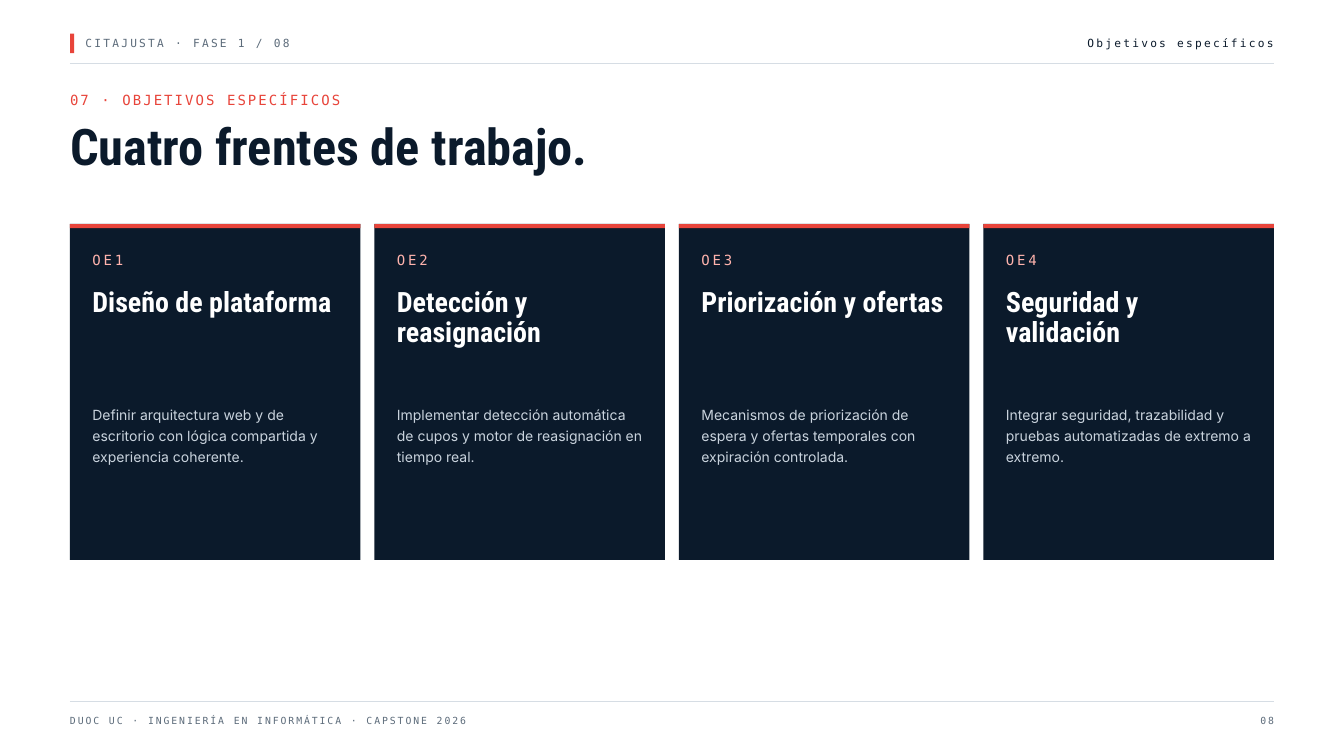
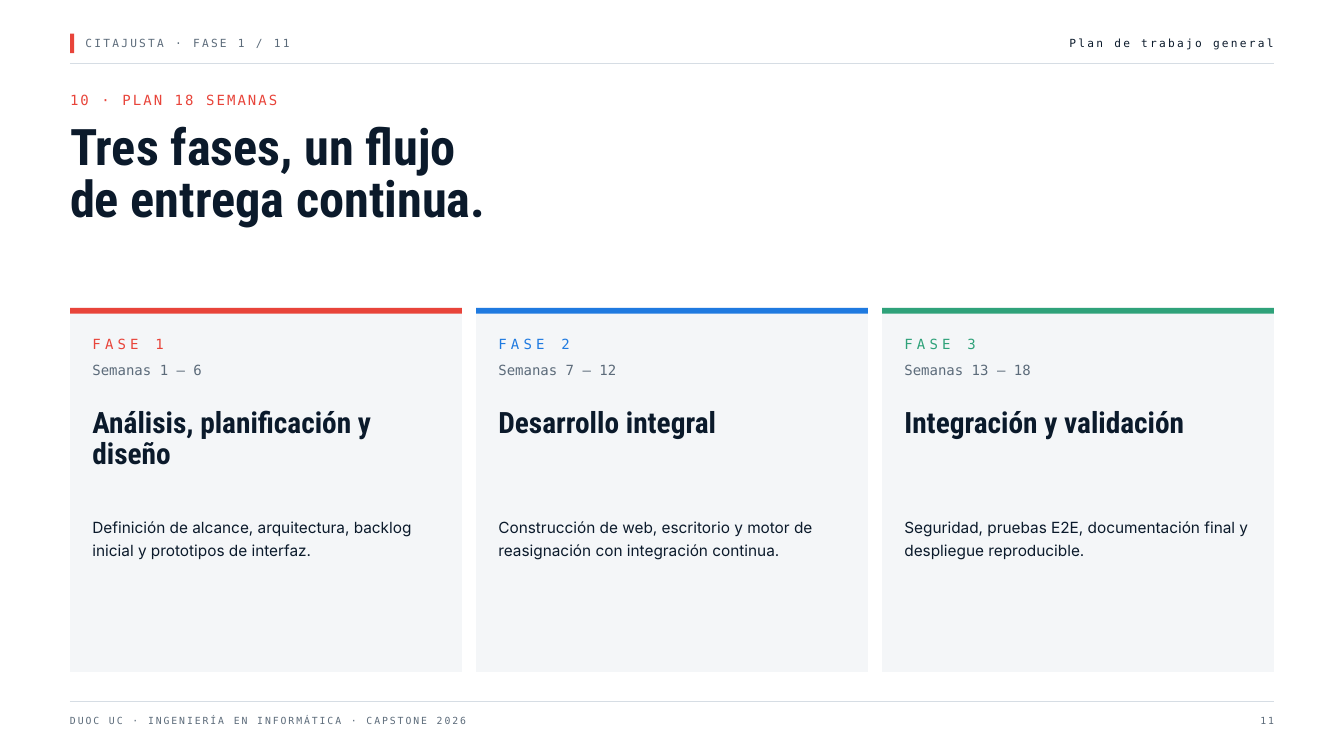
"""Builds two slides of a project deck: specific objectives and the general work plan."""
from pptx import Presentation
from pptx import util as u
from pptx.dml.color import RGBColor
from pptx.enum import shapes, text
from pptx.oxml import parse_xml
from pptx.oxml.ns import nsdecls

NAVY = RGBColor(0x0B, 0x1A, 0x2B)
SLATE = RGBColor(0x5C, 0x6B, 0x7A)
RED = RGBColor(0xE8, 0x44, 0x3A)
BLUE = RGBColor(0x1F, 0x7A, 0xE0)
GREEN = RGBColor(0x2F, 0xA2, 0x7A)
PINK = RGBColor(0xFF, 0xB3, 0xAD)
MIST = RGBColor(0xC9, 0xD3, 0xDD)
RULE = RGBColor(0xD6, 0xDD, 0xE4)
PALE = RGBColor(0xF4, 0xF6, 0xF8)
WHITE = RGBColor(0xFF, 0xFF, 0xFF)

MONO, SANS, CONDENSED = "DejaVu Sans Mono", "Inter", "Roboto Condensed"
FOOTER = "DUOC UC · INGENIERÍA EN INFORMÁTICA · CAPSTONE 2026"

PX = 9525
WIDTH, HEIGHT = 1920, 1080
LEFT, RIGHT = 100, 1820
GAP, PADDING = 20, 32


def style(name, size, leading, tracking=0, bold=False):
    return {"font": {"name": name, "size": u.Pt(size), "bold": bold},
            "leading": u.Pt(leading), "tracking": tracking}


HEADER_STYLE = style(MONO, 12, 16.8, 2.4)
FOOTER_STYLE = style(MONO, 10.5, 14.7, 2.1)
EYEBROW_STYLE = style(MONO, 15, 21, 2.2)
TITLE_STYLE = style(CONDENSED, 54, 55.1, bold=True)

SLIDES = [
    {
        "number": "08",
        "section": "Objetivos específicos",
        "eyebrow": "07 · OBJETIVOS ESPECÍFICOS",
        "title": ["Cuatro frentes de trabajo."],
        "top": 320, "height": 480, "band": 6, "fill": NAVY,
        "fields": [
            (36, 28, style(MONO, 15, 21, 3), PINK),
            (93, 45, style(CONDENSED, 30, 31.5, bold=True), WHITE),
            (255, 90, style(SANS, 15, 22.5), MIST),
        ],
        "cards": [
            (RED, "OE1", "Diseño de plataforma",
             "Definir arquitectura web y de escritorio con lógica compartida "
             "y experiencia coherente."),
            (RED, "OE2", "Detección y reasignación",
             "Implementar detección automática de cupos y motor de reasignación "
             "en tiempo real."),
            (RED, "OE3", "Priorización y ofertas",
             "Mecanismos de priorización de espera y ofertas temporales con "
             "expiración controlada."),
            (RED, "OE4", "Seguridad y validación",
             "Integrar seguridad, trazabilidad y pruebas automatizadas de "
             "extremo a extremo."),
        ],
    },
    {
        "number": "11",
        "section": "Plan de trabajo general",
        "eyebrow": "10 · PLAN 18 SEMANAS",
        "title": ["Tres fases, un flujo", "de entrega continua."],
        "top": 440, "height": 520, "band": 8, "fill": PALE,
        "fields": [
            (36, 28, style(MONO, 15, 21, 4.5), None),
            (72, 28, style(MONO, 15, 21), SLATE),
            (144, 46, style(CONDENSED, 31.5, 33.1, bold=True), NAVY),
            (295, 62, style(SANS, 16.5, 23.9), NAVY),
        ],
        "cards": [
            (RED, "FASE 1", "Semanas 1 – 6", "Análisis, planificación y diseño",
             "Definición de alcance, arquitectura, backlog inicial y prototipos "
             "de interfaz."),
            (BLUE, "FASE 2", "Semanas 7 – 12", "Desarrollo integral",
             "Construcción de web, escritorio y motor de reasignación con "
             "integración continua."),
            (GREEN, "FASE 3", "Semanas 13 – 18", "Integración y validación",
             "Seguridad, pruebas E2E, documentación final y despliegue "
             "reproducible."),
        ],
    },
]


def scaled(*lengths):
    return [u.Emu(round(length * PX)) for length in lengths]


def write(shape, lines, look, color, align=text.PP_ALIGN.LEFT):
    frame = shape.text_frame
    settings = {"margin_left": 0, "margin_top": 0, "margin_right": 0, "margin_bottom": 0,
                "word_wrap": True, "vertical_anchor": text.MSO_ANCHOR.TOP,
                "auto_size": text.MSO_AUTO_SIZE.SHAPE_TO_FIT_TEXT}
    for name, value in settings.items():
        setattr(frame, name, value)
    for index, line in enumerate(lines):
        paragraph = frame.add_paragraph() if index else frame.paragraphs[0]
        paragraph.alignment = align
        paragraph.line_spacing = look["leading"]
        paragraph.space_before = u.Pt(0)
        run = paragraph.add_run()
        run.text = line
        for name, value in look["font"].items():
            setattr(run.font, name, value)
        run.font.color.rgb = color
        if look["tracking"]:
            run._r.get_or_add_rPr().set("spc", str(round(look["tracking"] * 100)))


def add_text(slide, box, line, look, color, align=text.PP_ALIGN.LEFT):
    write(slide.shapes.add_textbox(*scaled(*box)), [line], look, color, align)


def add_block(slide, box, color):
    shape = slide.shapes.add_shape(shapes.MSO_SHAPE.RECTANGLE, *scaled(*box))
    shape.shadow.inherit = False
    shape.fill.solid()
    shape.fill.fore_color.rgb = color
    shape.line.fill.background()


def add_rule(slide, y):
    rule = slide.shapes.add_connector(shapes.MSO_CONNECTOR.STRAIGHT, *scaled(LEFT, y, RIGHT, y))
    rule.line.color.rgb = RULE
    rule.line.width = u.Pt(0.75)
    rule._element.spPr.append(parse_xml(f"<a:effectLst {nsdecls('a')}/>"))


def add_frame(slide, content):
    right = text.PP_ALIGN.RIGHT
    add_block(slide, (LEFT, 48, 6, 28), RED)
    add_text(slide, (122, 49, 600, 22), f"CITAJUSTA · FASE 1 / {content['number']}",
             HEADER_STYLE, SLATE)
    add_text(slide, (RIGHT - 700, 49, 700, 22), content["section"], HEADER_STYLE, NAVY, right)
    add_text(slide, (LEFT, 1018, 1200, 18), FOOTER, FOOTER_STYLE, SLATE)
    add_text(slide, (RIGHT - 200, 1018, 200, 18), content["number"], FOOTER_STYLE, SLATE, right)
    for y in (90, 1002):
        add_rule(slide, y)
    add_text(slide, (LEFT, 126, 500, 28), content["eyebrow"], EYEBROW_STYLE, RED)
    title = slide.shapes.title
    title.left, title.top, title.width, title.height = scaled(
        LEFT, 178, 1600, 5 + 73 * len(content["title"]))
    write(title, content["title"], TITLE_STYLE, NAVY)


def add_cards(slide, content):
    cards, top = content["cards"], content["top"]
    width = (RIGHT - LEFT - GAP * (len(cards) - 1)) / len(cards)
    for index, (accent, *lines) in enumerate(cards):
        x = LEFT + index * (width + GAP)
        add_block(slide, (x, top, width, content["height"]), content["fill"])
        add_block(slide, (x, top, width, content["band"]), accent)
        for line, (offset, height, look, color) in zip(lines, content["fields"]):
            add_text(slide, (x + PADDING, top + offset, width - 2 * PADDING, height),
                     line, look, color or accent)


def main():
    presentation = Presentation()
    presentation.slide_width, presentation.slide_height = scaled(WIDTH, HEIGHT)
    for content in SLIDES:
        slide = presentation.slides.add_slide(presentation.slide_layouts[5])
        add_frame(slide, content)
        add_cards(slide, content)
    presentation.save("out.pptx")


if __name__ == "__main__":
    main()
